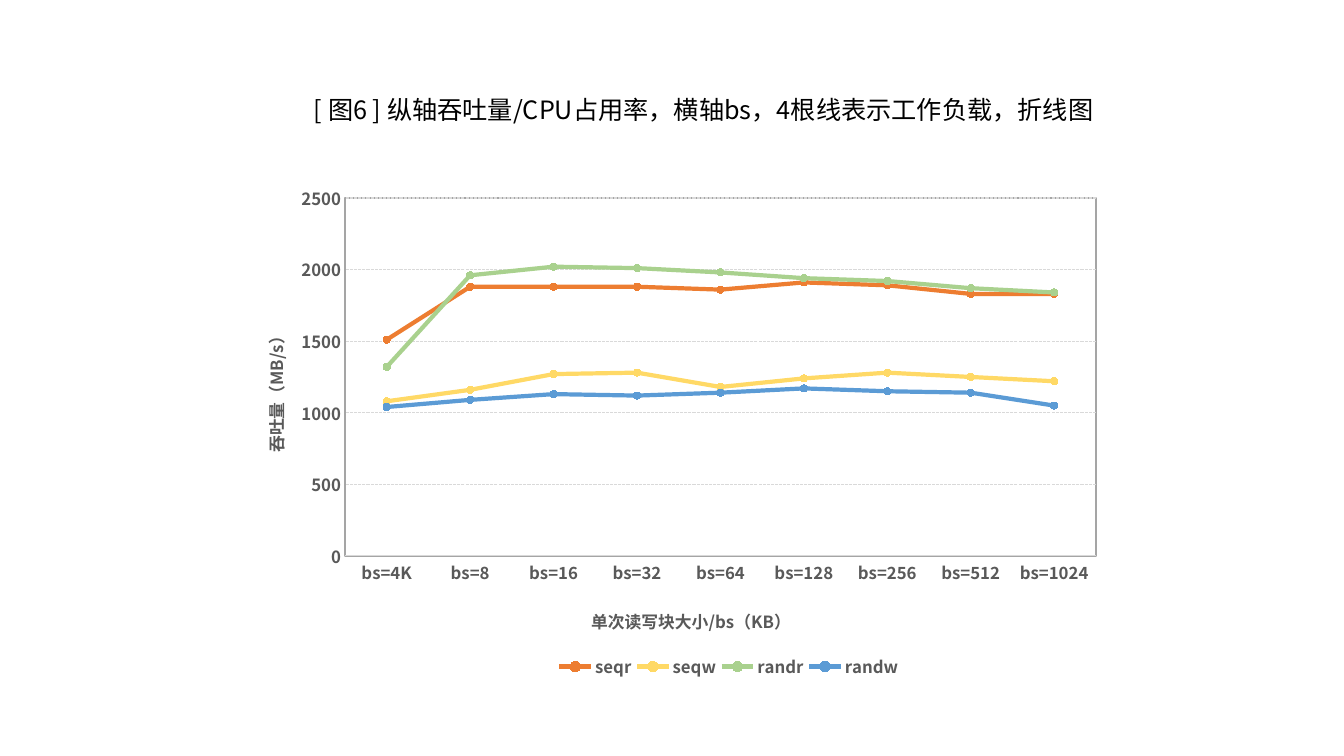
import pptx
import pptx.chart.data
import pptx.dml.color
import pptx.enum.chart
import pptx.enum.dml
import pptx.oxml
import pptx.oxml.ns
import pptx.util

FONT = "Noto Sans CJK SC"
EMU_PER_PX = 12192000 / 1344

BLACK = pptx.dml.color.RGBColor(0x00, 0x00, 0x00)
LABEL_GREY = pptx.dml.color.RGBColor(0x59, 0x59, 0x59)
FRAME_GREY = pptx.dml.color.RGBColor(0xA5, 0xA5, 0xA5)
GRID_GREY = pptx.dml.color.RGBColor(0xD9, 0xD9, 0xD9)
ORANGE = pptx.dml.color.RGBColor(0xED, 0x7D, 0x31)
YELLOW = pptx.dml.color.RGBColor(0xFF, 0xD9, 0x66)
GREEN = pptx.dml.color.RGBColor(0xA9, 0xD1, 0x8E)
BLUE = pptx.dml.color.RGBColor(0x5B, 0x9B, 0xD5)

BLOCK_SIZES = ["4K", "8", "16", "32", "64", "128", "256", "512", "1024"]
WORKLOADS = [
    ("seqr", ORANGE, [1510, 1880, 1880, 1880, 1860, 1910, 1890, 1830, 1830]),
    ("seqw", YELLOW, [1080, 1160, 1270, 1280, 1180, 1240, 1280, 1250, 1220]),
    ("randr", GREEN, [1320, 1960, 2020, 2010, 1980, 1940, 1920, 1870, 1840]),
    ("randw", BLUE, [1040, 1090, 1130, 1120, 1140, 1170, 1150, 1140, 1050]),
]


def px(length):
    return pptx.util.Emu(round(length * EMU_PER_PX))


def use_east_asian_font(element):
    """Give every Latin typeface in the element its East Asian counterpart."""
    for latin in list(element.iter(pptx.oxml.ns.qn("a:latin"))):
        latin.addnext(pptx.oxml.parse_xml(
            f'<a:ea {pptx.oxml.ns.nsdecls("a")} typeface="{FONT}"/>'))


class ChartSlide:
    def __init__(self, deck):
        self.slide = deck.slides.add_slide(deck.slide_layouts[6])

    def style_font(self, font, size, color, bold=False):
        font.size = pptx.util.Pt(size)
        font.bold = bold
        font.color.rgb = color
        font.name = FONT

    def style_line(self, line, width, color):
        line.width = pptx.util.Pt(width)
        line.color.rgb = color

    def text(self, left, top, width, height, words):
        box = self.slide.shapes.add_textbox(px(left), px(top), px(width), px(height))
        box.text_frame.word_wrap = True
        para = box.text_frame.paragraphs[0]
        para.text = words
        self.style_font(para.font, 18, BLACK)
        use_east_asian_font(box.element)

    def place(self, part, index, left, top, width=None, height=None):
        """Fix a chart part at slide px; index is the layout's place in the part."""
        chart_left, chart_top, chart_width, chart_height = self.chart_area
        for layout in part.findall(pptx.oxml.ns.qn("c:layout")):
            part.remove(layout)
        values = {"x": (left - chart_left) / chart_width,
                  "y": (top - chart_top) / chart_height}
        if width:
            values.update(w=width / chart_width, h=height / chart_height)
        target = '<c:layoutTarget val="inner"/>' if part.tag.endswith("plotArea") else ""
        modes = '<c:xMode val="edge"/><c:yMode val="edge"/>'
        sizes = "".join(f'<c:{key} val="{value:.4f}"/>' for key, value in values.items())
        part.insert(index, pptx.oxml.parse_xml(
            f'<c:layout {pptx.oxml.ns.nsdecls("c")}><c:manualLayout>'
            f"{target}{modes}{sizes}</c:manualLayout></c:layout>"))

    def axis(self, axis, title, left, top):
        axis.major_tick_mark = pptx.enum.chart.XL_TICK_MARK.NONE
        axis.minor_tick_mark = pptx.enum.chart.XL_TICK_MARK.NONE
        self.style_font(axis.tick_labels.font, 12, LABEL_GREY, bold=True)
        para = axis.axis_title.text_frame.paragraphs[0]
        para.text = title
        self.style_font(para.font, 12, LABEL_GREY, bold=True)
        self.place(axis.axis_title._element, 1, left, top)

    def frame_plot(self, plot_area):
        plot_area.append(pptx.oxml.parse_xml(
            f'<c:spPr {pptx.oxml.ns.nsdecls("c", "a")}><a:noFill/><a:ln w="19050">'
            f'<a:solidFill><a:srgbClr val="{FRAME_GREY}"/></a:solidFill></a:ln></c:spPr>'))

    def line_chart(self, left, top, width, height):
        self.chart_area = (left, top, width, height)
        data = pptx.chart.data.CategoryChartData(number_format="General")
        data.categories = [f"bs={size}" for size in BLOCK_SIZES]
        for name, _, values in WORKLOADS:
            data.add_series(name, values)
        chart = self.slide.shapes.add_chart(
            pptx.enum.chart.XL_CHART_TYPE.LINE_MARKERS,
            px(left), px(top), px(width), px(height), data).chart
        chart.has_title = False
        self.style_font(chart.font, 10, BLACK)
        chart.plots[0].vary_by_categories = False

        for series, (_, color, _) in zip(chart.plots[0].series, WORKLOADS):
            series.smooth = False
            self.style_line(series.format.line, 3, color)
            series.marker.style = pptx.enum.chart.XL_MARKER_STYLE.CIRCLE
            series.marker.size = 5
            series.marker.format.fill.solid()
            series.marker.format.fill.fore_color.rgb = color
            series.marker.format.line.color.rgb = color

        self.axis(chart.category_axis, "单次读写块大小/bs（KB）", 588, 603)
        self.style_line(chart.category_axis.format.line, 0.75, GRID_GREY)

        throughput = chart.value_axis
        self.axis(throughput, "吞吐量（MB/s）", 258, 325)
        throughput.minimum_scale, throughput.maximum_scale = 0, 2500
        throughput.major_unit = 500
        throughput.format.line.fill.background()
        grid = throughput.major_gridlines.format.line
        self.style_line(grid, 0.75, GRID_GREY)
        grid.dash_style = pptx.enum.dml.MSO_LINE.SQUARE_DOT

        chart.has_legend = True
        chart.legend.position = pptx.enum.chart.XL_LEGEND_POSITION.BOTTOM
        chart.legend.include_in_layout = False
        self.style_font(chart.legend.font, 12, LABEL_GREY, bold=True)
        self.place(chart.legend._element, 1, 554, 654, 350, 24)

        plot_area = chart._chartSpace.chart.plotArea
        self.place(plot_area, 0, 345, 198, 751, 358)
        self.frame_plot(plot_area)
        use_east_asian_font(chart._chartSpace)


def main():
    deck = pptx.Presentation()
    deck.slide_width, deck.slide_height = px(1344), px(756)
    page = ChartSlide(deck)
    page.line_chart(230, 174, 884, 514)
    page.text(304, 89, 875, 40,
              "[ 图6 ] 纵轴吞吐量/CPU占用率，横轴bs，4根线表示工作负载，折线图")
    deck.save("out.pptx")


if __name__ == "__main__":
    main()
